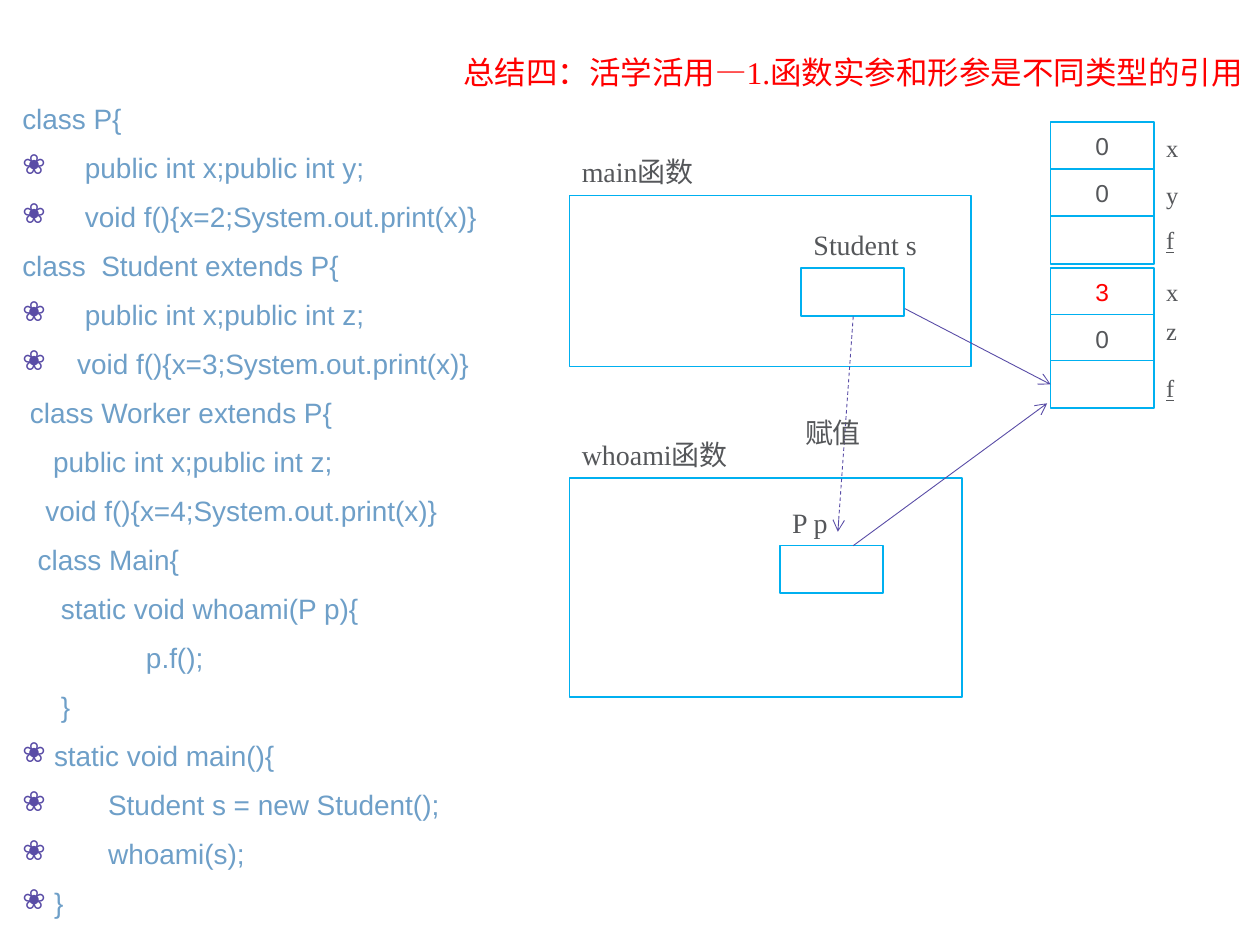
from lxml.etree import SubElement
from pptx import Presentation
from pptx.dml.color import RGBColor
from pptx.enum.dml import MSO_LINE
from pptx.enum.shapes import MSO_CONNECTOR as CONN, MSO_SHAPE as SHAPE
from pptx.enum.text import MSO_ANCHOR as ANCHOR, MSO_AUTO_SIZE as AUTO, PP_ALIGN as ALIGN
from pptx.oxml.ns import qn
from pptx.util import Cm, Pt

RED = RGBColor(0xFF, 0x00, 0x00)
GREY = RGBColor(0x55, 0x57, 0x5A)
CODE_BLUE = RGBColor(0x6E, 0x9F, 0xC8)
CYAN = RGBColor(0x00, 0xB0, 0xF0)
PURPLE = RGBColor(0x59, 0x4C, 0xA6)
WHITE = RGBColor(0xFF, 0xFF, 0xFF)
SERIF, SANS = "Times New Roman", "Arial"
CELL_W, CELL_H, CAPTION_H, LABEL_H = 2.08, 0.96, 0.94, 0.86

CODE = [
    ("class P{", False),
    ("    public int x;public int y;", True),
    ("    void f(){x=2;System.out.print(x)}", True),
    ("class  Student extends P{", False),
    ("    public int x;public int z;", True),
    ("   void f(){x=3;System.out.print(x)}", True),
    (" class Worker extends P{", False),
    ("    public int x;public int z;", False),
    ("   void f(){x=4;System.out.print(x)}", False),
    ("  class Main{", False),
    ("     static void whoami(P p){", False),
    ("                p.f();", False),
    ("     }", False),
    ("static void main(){", True),
    ("       Student s = new Student();", True),
    ("       whoami(s);", True),
    ("}", True),
]


def write(p, text, size=16, font=SERIF, color=GREY, align=ALIGN.LEFT, underline=None):
    p.alignment = align
    r = p.add_run()
    r.text = text
    r.font.size = Pt(size)
    r.font.name = font
    r.font.color.rgb = color
    r.font.underline = underline


def add_label(s, text, left, top, width, height, **fmt):
    tf = s.shapes.add_textbox(Cm(left), Cm(top), Cm(width), Cm(height)).text_frame
    tf.word_wrap = True
    write(tf.paragraphs[0], text, **fmt)


def add_box(s, left, top, width, height, text="", **fmt):
    sp = s.shapes.add_shape(SHAPE.RECTANGLE, Cm(left), Cm(top), Cm(width), Cm(height))
    sp.shadow.inherit = False
    sp.fill.solid()
    sp.fill.fore_color.rgb = WHITE
    sp.line.color.rgb = CYAN
    sp.line.width = Pt(1)
    if text:
        sp.text_frame.vertical_anchor = ANCHOR.MIDDLE
        write(sp.text_frame.paragraphs[0], text, align=ALIGN.CENTER, **fmt)


def add_arrow(s, x1, y1, x2, y2, dashed=False):
    c = s.shapes.add_connector(CONN.STRAIGHT, Cm(x1), Cm(y1), Cm(x2), Cm(y2))
    c.line.color.rgb = PURPLE
    c.line.width = Pt(0.5)
    if dashed:
        c.line.dash_style = MSO_LINE.DASH
    sp_pr = c.element.spPr
    SubElement(sp_pr.find(qn("a:ln")), qn("a:tailEnd"), type="arrow")
    SubElement(sp_pr, qn("a:effectLst"))


def add_title(s, left, top, width, height):
    sp = s.shapes.title
    sp.left, sp.top, sp.width, sp.height = Cm(left), Cm(top), Cm(width), Cm(height)
    tf = sp.text_frame
    tf.word_wrap = False
    tf.auto_size = AUTO.NONE
    tf.vertical_anchor = ANCHOR.TOP
    write(tf.paragraphs[0], "总结四：活学活用—1.函数实参和形参是不同类型的引用",
          size=18, color=RED, align=ALIGN.CENTER)


def add_code(s, left, top, width, height):
    tf = s.shapes.add_textbox(Cm(left), Cm(top), Cm(width), Cm(height)).text_frame
    tf.word_wrap = True
    for i, (line, bulleted) in enumerate(CODE):
        p = tf.add_paragraph() if i else tf.paragraphs[0]
        p_pr = p._p.get_or_add_pPr()
        p_pr.set("marL", str(Cm(0.64)))
        p_pr.set("indent", str(-Cm(0.64)))
        if bulleted:
            color = SubElement(p_pr, qn("a:buClr"))
            SubElement(color, qn("a:srgbClr"), val=str(PURPLE))
            SubElement(p_pr, qn("a:buChar"), char="❀")
        p.line_spacing = 0.9
        p.space_before = Pt(10.75 if i else 0)
        write(p, line, font=SANS, color=CODE_BLUE)


def add_memory(s, left, top, pitch, cells):
    for i, (value, name, shift, color) in enumerate(cells):
        y = top + i * pitch
        add_box(s, left, y, CELL_W, CELL_H, value, size=14, font=SANS, color=color)
        add_label(s, name, left + CELL_W, y + shift, 1.35, LABEL_H, size=14,
                  underline=True if name == "f" else None)


def add_function(s, left, top, width, height, name, variable, dx, dy):
    add_box(s, left, top, width, height)
    add_label(s, name, left, top - CAPTION_H, width, CAPTION_H)
    add_box(s, left + dx, top + dy, CELL_W, CELL_H)
    add_label(s, variable, left + dx, top + dy - CAPTION_H, 2.97, CAPTION_H)


def main():
    prs = Presentation()
    prs.slide_width, prs.slide_height = Cm(25.4), Cm(19.05)
    s = prs.slides.add_slide(prs.slide_layouts[5])
    add_title(s, 8.94, 0.94, 16.51, 1.02)
    add_code(s, 0.2, 2, 11.46, 16.4)
    add_memory(s, 21.18, 2.46, 0.95, [
        ("0", "x", 0.1, GREY), ("0", "y", 0.1, GREY), ("", "f", 0.05, GREY)])
    add_memory(s, 21.18, 5.41, 0.93, [
        ("3", "x", 0.05, RED), ("0", "z", -0.1, GREY), ("", "f", 0.13, GREY)])
    add_function(s, 11.48, 3.94, 8.1, 3.45, "main函数", "Student s", 4.67, 1.47)
    add_function(s, 11.48, 9.63, 7.92, 4.42, "whoami函数", "P p", 4.24, 1.37)
    add_arrow(s, 18.24, 6.22, 21.18, 7.75)
    add_arrow(s, 17.2, 11, 21.11, 8.13)
    add_arrow(s, 17.2, 6.38, 16.89, 10.72, dashed=True)
    add_label(s, "赋值", 15.98, 8.26, 2.46, CAPTION_H)
    prs.save("out.pptx")


if __name__ == "__main__":
    main()
